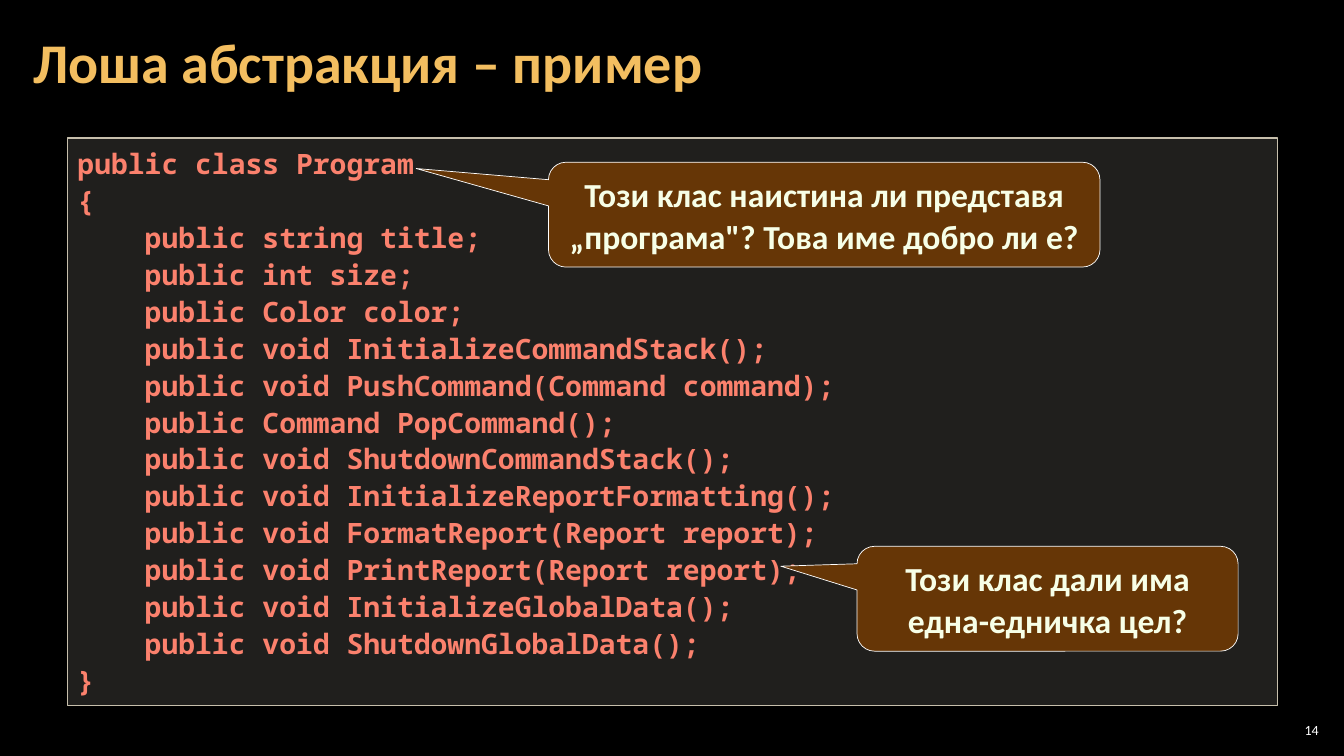
from dataclasses import dataclass

from lxml.etree import SubElement
from pptx import Presentation
from pptx.dml.color import RGBColor
from pptx.enum.shapes import MSO_SHAPE
from pptx.enum.text import MSO_ANCHOR, MSO_AUTO_SIZE, PP_ALIGN
from pptx.oxml.ns import qn
from pptx.shapes.autoshape import Shape
from pptx.slide import Slide
from pptx.util import Inches, Length, Pt

BLACK = RGBColor(0x00, 0x00, 0x00)
WHITE = RGBColor(0xFF, 0xFF, 0xFF)
GOLD = RGBColor(0xF3, 0xBE, 0x60)
CORAL = RGBColor(0xFB, 0x81, 0x6D)
SAND = RGBColor(0xD9, 0xD5, 0xC7)
STONE = RGBColor(0xC7, 0xBF, 0xAC)
BROWN = RGBColor(0x66, 0x36, 0x06)
IVORY = RGBColor(0xF7, 0xFF, 0xE7)

TEXT_FONT = "Calibri"
CODE_FONT = "Noto Sans Mono"
CODE_OPACITY = 15  # percent

CODE = """public class Program
{
    public string title;
    public int size;
    public Color color;
    public void InitializeCommandStack();
    public void PushCommand(Command command);
    public Command PopCommand();
    public void ShutdownCommandStack();
    public void InitializeReportFormatting();
    public void FormatReport(Report report);
    public void PrintReport(Report report);
    public void InitializeGlobalData();
    public void ShutdownGlobalData();
}"""


@dataclass(frozen=True)
class Area:
    left: float
    top: float
    width: float
    height: float

    def lengths(self) -> tuple[Length, ...]:
        return tuple(Inches(n) for n in (self.left, self.top, self.width, self.height))


@dataclass(frozen=True)
class TextStyle:
    font: str
    size: int
    color: RGBColor
    bold: bool = True
    align: PP_ALIGN = PP_ALIGN.LEFT
    spacing: float | Length = 1.0


@dataclass(frozen=True)
class Callout:
    area: Area
    tip: tuple[float, float]
    text: str


TITLE_STYLE = TextStyle(TEXT_FONT, 40, GOLD, spacing=0.9)
CODE_STYLE = TextStyle(CODE_FONT, 20, CORAL, spacing=1.1)
CALLOUT_STYLE = TextStyle(TEXT_FONT, 24, IVORY, align=PP_ALIGN.CENTER, spacing=Pt(30))
NUMBER_STYLE = TextStyle(TEXT_FONT, 10, WHITE, bold=False, align=PP_ALIGN.RIGHT)

CALLOUTS = (
    Callout(Area(5.44, 1.61, 5.47, 1.04), (-0.74, -0.44),
            "Този клас наистина ли представя „програма\"? Това име добро ли е?"),
    Callout(Area(8.5, 5.42, 3.78, 1.04), (-0.7, -0.31),
            "Този клас дали има една-едничка цел?"),
)


def write_text(box: Shape, text: str, style: TextStyle) -> None:
    """Fill the box with one paragraph per line of text."""
    frame = box.text_frame
    frame.word_wrap = True
    for index, line in enumerate(text.splitlines()):
        para = frame.add_paragraph() if index else frame.paragraphs[0]
        para.alignment = style.align
        para.line_spacing = style.spacing
        span = para.add_run()
        span.text = line
        span.font.name = style.font
        span.font.size = Pt(style.size)
        span.font.bold = style.bold
        span.font.color.rgb = style.color


def add_label(page: Slide, area: Area, side_inset: float, text: str, style: TextStyle) -> None:
    box = page.shapes.add_textbox(*area.lengths())
    frame = box.text_frame
    frame.vertical_anchor = MSO_ANCHOR.MIDDLE
    frame.margin_left = frame.margin_right = Inches(side_inset)
    frame.margin_top = frame.margin_bottom = Inches(0.04)
    write_text(box, text, style)


def add_panel(page: Slide, kind: MSO_SHAPE, area: Area, fill: RGBColor,
              line: RGBColor, line_width: float, text: str, style: TextStyle) -> Shape:
    panel = page.shapes.add_shape(kind, *area.lengths())
    panel.shadow.inherit = False
    panel.fill.solid()
    panel.fill.fore_color.rgb = fill
    panel.line.color.rgb = line
    panel.line.width = Pt(line_width)
    panel.text_frame.vertical_anchor = MSO_ANCHOR.TOP
    panel.text_frame.auto_size = MSO_AUTO_SIZE.SHAPE_TO_FIT_TEXT
    write_text(panel, text, style)
    return panel


def set_opacity(panel: Shape, percent: int) -> None:
    color = panel.fill._xPr.find(qn("a:solidFill")).find(qn("a:srgbClr"))
    SubElement(color, qn("a:alpha")).set("val", str(percent * 1000))


def add_callout(page: Slide, callout: Callout) -> None:
    bubble = add_panel(page, MSO_SHAPE.ROUNDED_RECTANGULAR_CALLOUT, callout.area,
                       BROWN, WHITE, 0.5, callout.text, CALLOUT_STYLE)
    bubble.adjustments[0], bubble.adjustments[1] = callout.tip


def main() -> None:
    deck = Presentation()
    deck.slide_width, deck.slide_height = Inches(13.33), Inches(7.5)
    page = deck.slides.add_slide(deck.slide_layouts[6])
    page.background.fill.solid()
    page.background.fill.fore_color.rgb = BLACK

    # Title
    add_label(page, Area(0.21, 0.04, 12.91, 1.21), 0.12,
              "Лоша абстракция – пример", TITLE_STYLE)

    # Code listing on a translucent panel
    listing = add_panel(page, MSO_SHAPE.RECTANGLE, Area(0.67, 1.37, 12, 5.63),
                        SAND, STONE, 1, CODE, CODE_STYLE)
    set_opacity(listing, CODE_OPACITY)

    # Questions about the code
    for callout in CALLOUTS:
        add_callout(page, callout)

    # Slide number
    add_label(page, Area(12.65, 7.14, 0.47, 0.21), 0.04, "14", NUMBER_STYLE)

    deck.save("out.pptx")


if __name__ == "__main__":
    main()
